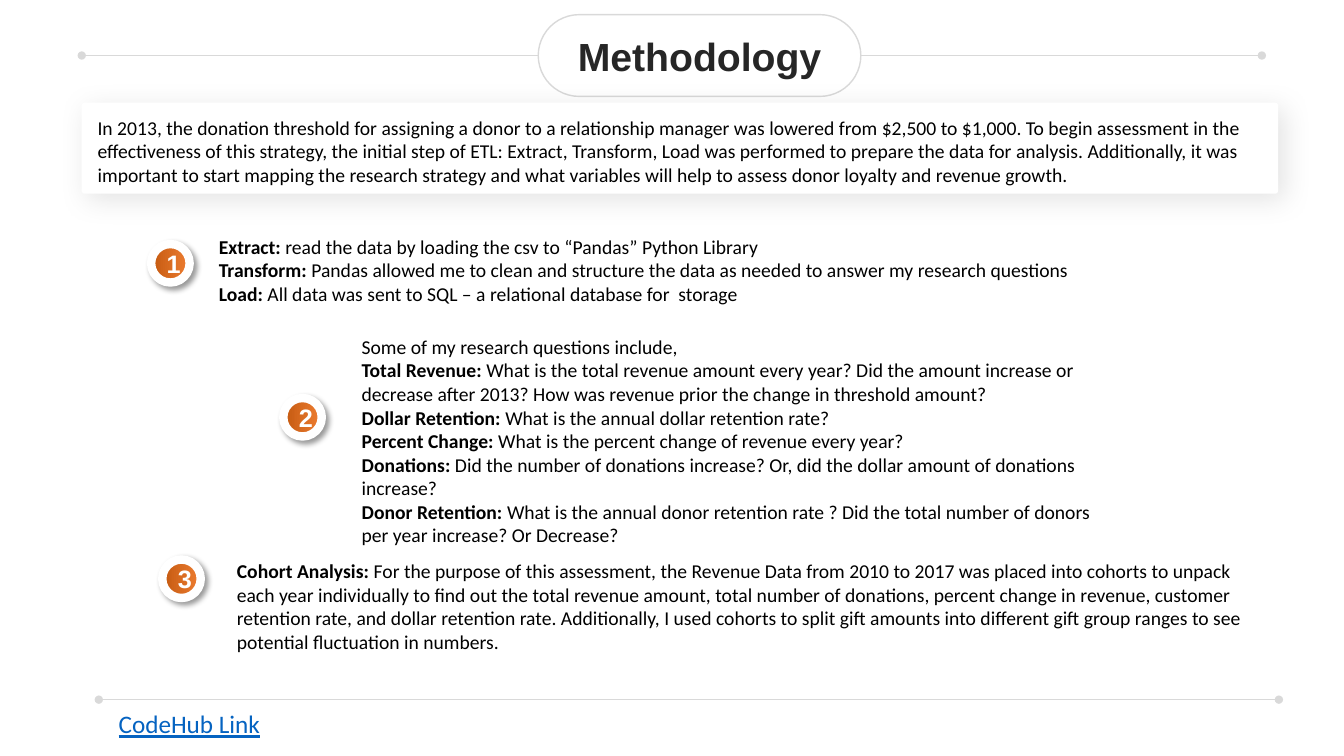
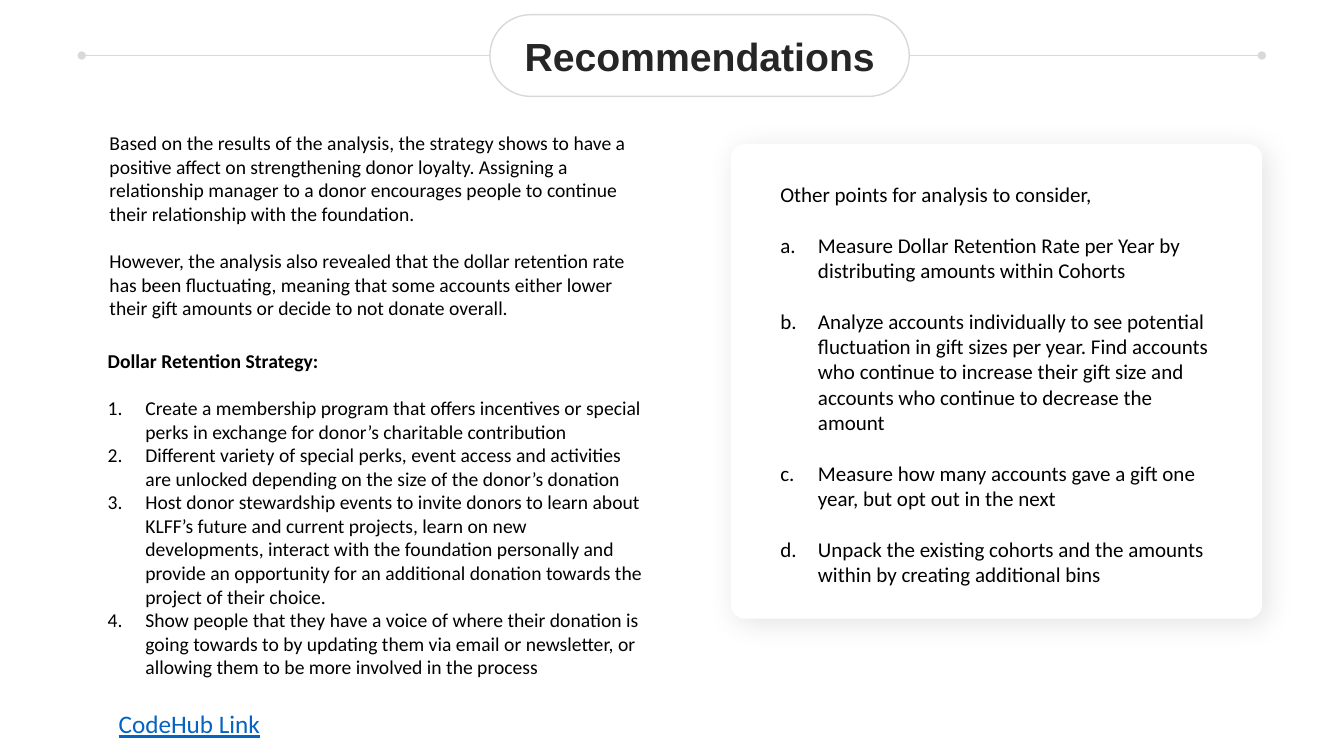
"""Builds two slides: methodology and recommendations."""
from dataclasses import dataclass

from lxml import etree
from pptx import Presentation
from pptx import util as u
from pptx.dml.color import RGBColor
from pptx.enum import shapes, text
from pptx.oxml import ns

HUES = {
    "white": "FFFFFF", "rule": "D9D9D9", "title": "262626", "ink": "000000",
    "link": "0563C1", "dark": "C55A11", "light": "ED7D31",
}
MID = 17.63      # centre of the title pill, cm
HANG = 0.95      # hanging indent of numbered lists, cm


@dataclass
class Box:
    """A place on the slide, in cm."""
    x: float
    y: float
    w: float
    h: float

    def cm(self) -> tuple:
        """Return left, top, width and height as lengths."""
        return tuple(u.Cm(v) for v in (self.x, self.y, self.w, self.h))


@dataclass
class Style:
    """The look of a paragraph."""
    size: float
    font: str = "Calibri"
    hue: str = "ink"
    bold: bool = False
    under: bool = False
    align: text.PP_ALIGN = text.PP_ALIGN.LEFT


@dataclass
class Para:
    """A paragraph: bold lead, plain body, numbering and gap above in points."""
    body: str
    lead: str = ""
    mark: str = ""
    gap: float = 0


@dataclass
class Shade:
    """An outer shadow: opacity in percent, blur and distance in points."""
    alpha: int
    blur: int
    dist: int


@dataclass
class Badge:
    """A numbered disc and its corner in cm."""
    num: str
    x: float
    y: float


BODY = Style(14)
POINT = Style(15)
LINK = Style(18, hue="link", under=True)
HEAD = Style(28, "Arial", "title", True, align=text.PP_ALIGN.CENTER)
DISC = Style(18, "Arial", "white", True, align=text.PP_ALIGN.CENTER)
SOFT, HARD = Shade(11, 20, 5), Shade(40, 4, 3)


def rgb(name: str) -> RGBColor:
    """Look up a colour."""
    return RGBColor.from_string(HUES[name])


def node(base, tag: str, **attrs):
    """Add a drawing element with attributes."""
    return etree.SubElement(base, ns.qn(f"a:{tag}"),
                            {key: str(val) for key, val in attrs.items()})


def write(frame, paras: list, style: Style) -> None:
    """Fill a text frame with paragraphs in one style."""
    frame.word_wrap = True
    frame.auto_size = text.MSO_AUTO_SIZE.NONE
    for i, para in enumerate(paras):
        line = frame.paragraphs[0] if i == 0 else frame.add_paragraph()
        line.alignment = style.align
        line.space_before, line.space_after = u.Pt(para.gap), u.Pt(0)
        props = line._p.get_or_add_pPr()
        hang = u.Cm(HANG) if para.mark else 0
        props.set("marL", str(hang))
        props.set("indent", str(-hang))
        if para.mark:
            node(props, "buFont", typeface="+mj-lt")
            node(props, "buAutoNum", type=para.mark)
        else:
            node(props, "buNone")
        font = line.font
        font.name, font.size = style.font, u.Pt(style.size)
        font.color.rgb = rgb(style.hue)
        font.bold, font.underline = style.bold, style.under
        if para.lead:
            run = line.add_run()
            run.text = para.lead + (" " if para.body else "")
            run.font.bold = True
        if para.body:
            line.add_run().text = para.body


def note(slide, box: Box, paras: list, style: Style = BODY) -> None:
    """Add a text box."""
    write(slide.shapes.add_textbox(*box.cm()).text_frame, paras, style)


def place(slide, idx: int, box: Box, paras: list, style: Style):
    """Move a placeholder to the front and fill it."""
    hold = slide.placeholders[idx]
    hold.left, hold.top, hold.width, hold.height = box.cm()
    slide.shapes.element.append(hold.element)
    write(hold.text_frame, paras, style)
    return hold


def rule(slide, x: float, y: float, end: float) -> None:
    """Draw a level line with round ends."""
    line = slide.shapes.add_connector(
        shapes.MSO_CONNECTOR.STRAIGHT, u.Cm(x), u.Cm(y), u.Cm(end), u.Cm(y))
    line.line.color.rgb = rgb("rule")
    line.line.width = u.Pt(1)
    props = line.element.spPr
    edge = props.find(ns.qn("a:ln"))
    node(edge, "headEnd", type="oval")
    node(edge, "tailEnd", type="oval")
    node(props, "effectLst")


def shade(shape, look: Shade) -> None:
    """Give a shape an outer shadow."""
    shape.shadow.inherit = False
    effect = shape.element.spPr.find(ns.qn("a:effectLst"))
    outer = node(effect, "outerShdw", blurRad=u.Pt(look.blur),
                 dist=u.Pt(look.dist), dir=45 * 60000, algn="tl", rotWithShape=0)
    tint = node(outer, "srgbClr", val=HUES["ink"])
    node(tint, "alpha", val=look.alpha * 1000)


def panel(slide, box: Box, curve: float):
    """Add a white rounded panel without line or shadow."""
    shape = slide.shapes.add_shape(
        shapes.MSO_SHAPE.ROUNDED_RECTANGLE, *box.cm())
    shape.adjustments[0] = curve
    shape.fill.solid()
    shape.fill.fore_color.rgb = rgb("white")
    shape.line.fill.background()
    shape.shadow.inherit = False
    return shape


def card(slide, box: Box) -> None:
    """Add a panel with a soft shadow."""
    shade(panel(slide, box, 0.03), SOFT)


def disc(slide, badge: Badge) -> None:
    """Add a numbered disc."""
    shape = slide.shapes.add_shape(
        shapes.MSO_SHAPE.OVAL, *Box(badge.x, badge.y, 0.97, 0.97).cm())
    shape.fill.gradient()
    shape.fill.gradient_angle = 0
    stops = zip(shape.fill.gradient_stops, ("dark", "light"), (0.02, 1))
    for stop, hue, spot in stops:
        stop.color.rgb, stop.position = rgb(hue), spot
    shape.line.color.rgb = rgb("white")
    shape.line.width = u.Pt(6)
    shade(shape, HARD)
    write(shape.text_frame, [Para(badge.num)], DISC)
    shape.text_frame.vertical_anchor = text.MSO_ANCHOR.MIDDLE


def start(deck, title: str, width: float):
    """Add a slide with the shared title band and footer link."""
    slide = deck.slides.add_slide(deck.slide_layouts[3])
    rule(slide, 2.06, 1.4, 31.8)
    box = Box(MID - width / 2, 0.37, width, 2.06)
    pill = panel(slide, box, 0.5)
    pill.line.color.rgb = rgb("rule")
    pill.line.width = u.Pt(1)
    hold = place(slide, 0, box, [Para(title)], HEAD)
    hold.text_frame.vertical_anchor = text.MSO_ANCHOR.MIDDLE
    note(slide, Box(2.74, 17.73, 14.6, 1.02), [Para("CodeHub Link")], LINK)
    return slide


def method(deck) -> None:
    """Build the methodology slide."""
    slide = start(deck, "Methodology", 8.13)
    card(slide, Box(2.06, 2.59, 30.15, 2.29))
    rule(slide, 2.49, 17.63, 32.23)
    note(slide, Box(2.21, 2.79, 29.74, 2.06), [Para(
        "In 2013, the donation threshold for assigning a donor to a "
        "relationship manager was lowered from $2,500 to $1,000. To begin "
        "assessment in the effectiveness of this strategy, the initial step of "
        "ETL: Extract, Transform, Load was performed to prepare the data for "
        "analysis. Additionally, it was important to start mapping the research "
        "strategy and what variables will help to assess donor loyalty and "
        "revenue growth.")])
    for badge in (Badge("1", 3.81, 6.15), Badge("2", 7.14, 10.03),
                  Badge("3", 4.09, 14.1)):
        disc(slide, badge)
    place(slide, 1, Box(5.26, 5.79, 24.89, 2.2), [
        Para("read the data by loading the csv to “Pandas” Python Library",
             "Extract:"),
        Para("Pandas allowed me to clean and structure the data as needed to "
             "answer my research questions", "Transform:"),
        Para("All data was sent to SQL – a relational database for  storage",
             "Load:"),
    ], BODY)
    place(slide, 2, Box(8.86, 8.31, 19.25, 5.6), [
        Para("Some of my research questions include,"),
        Para("What is the total revenue amount every year? Did the amount "
             "increase or decrease after 2013? How was revenue prior the change "
             "in threshold amount?", "Total Revenue:"),
        Para("What is the annual dollar retention rate?", "Dollar Retention:"),
        Para("What is the percent change of revenue every year?",
             "Percent Change:"),
        Para("Did the number of donations increase? Or, did the dollar amount "
             "of donations increase?", "Donations:"),
        Para("What is the annual donor retention rate ? Did the total number of "
             "donors per year increase? Or Decrease?", "Donor Retention:"),
    ], BODY)
    note(slide, Box(5.72, 13.97, 26.49, 3.3), [Para(
        "For the purpose of this assessment, the Revenue Data from 2010 to 2017 "
        "was placed into cohorts to unpack each year individually to find out "
        "the total revenue amount, total number of donations, percent change in "
        "revenue, customer retention rate, and dollar retention rate. "
        "Additionally, I used cohorts to split gift amounts into different gift "
        "group ranges to see potential fluctuation in numbers.",
        "Cohort Analysis:")])


def advice(deck) -> None:
    """Build the recommendations slide."""
    slide = start(deck, "Recommendations", 10.57)
    gap, wide = 17.1, 18.3
    note(slide, Box(2.51, 3.18, 14.05, 5.05), [
        Para("Based on the results of the analysis, the strategy shows to have a "
             "positive affect on strengthening donor loyalty. Assigning a "
             "relationship manager to a donor encourages people to continue "
             "their relationship with the foundation."),
        Para("However, the analysis also revealed that the dollar retention rate "
             "has been fluctuating, meaning that some accounts either lower "
             "their gift amounts or decide to not donate overall.", gap=gap),
    ])
    card(slide, Box(18.42, 3.63, 13.39, 11.96))
    steps = (
        "Create a membership program that offers incentives or special perks in "
        "exchange for donor’s charitable contribution",
        "Different variety of special perks, event access and activities are "
        "unlocked depending on the size of the donor’s donation",
        "Host donor stewardship events to invite donors to learn about KLFF’s "
        "future and current projects, learn on new developments, interact with "
        "the foundation personally and provide an opportunity for an additional "
        "donation towards the project of their choice.",
        "Show people that they have a voice of where their donation is going "
        "towards to by updating them via email or newsletter, or allowing them "
        "to be more involved in the process",
    )
    place(slide, 1, Box(2.46, 8.66, 14.05, 8.64),
          [Para("", "Dollar Retention Strategy:")]
          + [Para(step, mark="arabicPeriod", gap=0 if i else gap)
             for i, step in enumerate(steps)], BODY)
    ideas = (
        "Measure Dollar Retention Rate per Year by distributing amounts within "
        "Cohorts",
        "Analyze accounts individually to see potential fluctuation in gift "
        "sizes per year. Find accounts who continue to increase their gift size "
        "and accounts who continue to decrease the amount",
        "Measure how many accounts gave a gift one year, but opt out in the next",
        "Unpack the existing cohorts and the amounts within by creating "
        "additional bins",
    )
    place(slide, 2, Box(19.41, 4.45, 11.68, 11.15),
          [Para("Other points for analysis to consider,")]
          + [Para(idea, mark="alphaLcPeriod", gap=wide) for idea in ideas],
          POINT)


def main() -> None:
    """Build and save the deck."""
    deck = Presentation()
    deck.slide_width, deck.slide_height = u.Cm(33.87), u.Cm(19.05)
    method(deck)
    advice(deck)
    deck.save("out.pptx")


main()
